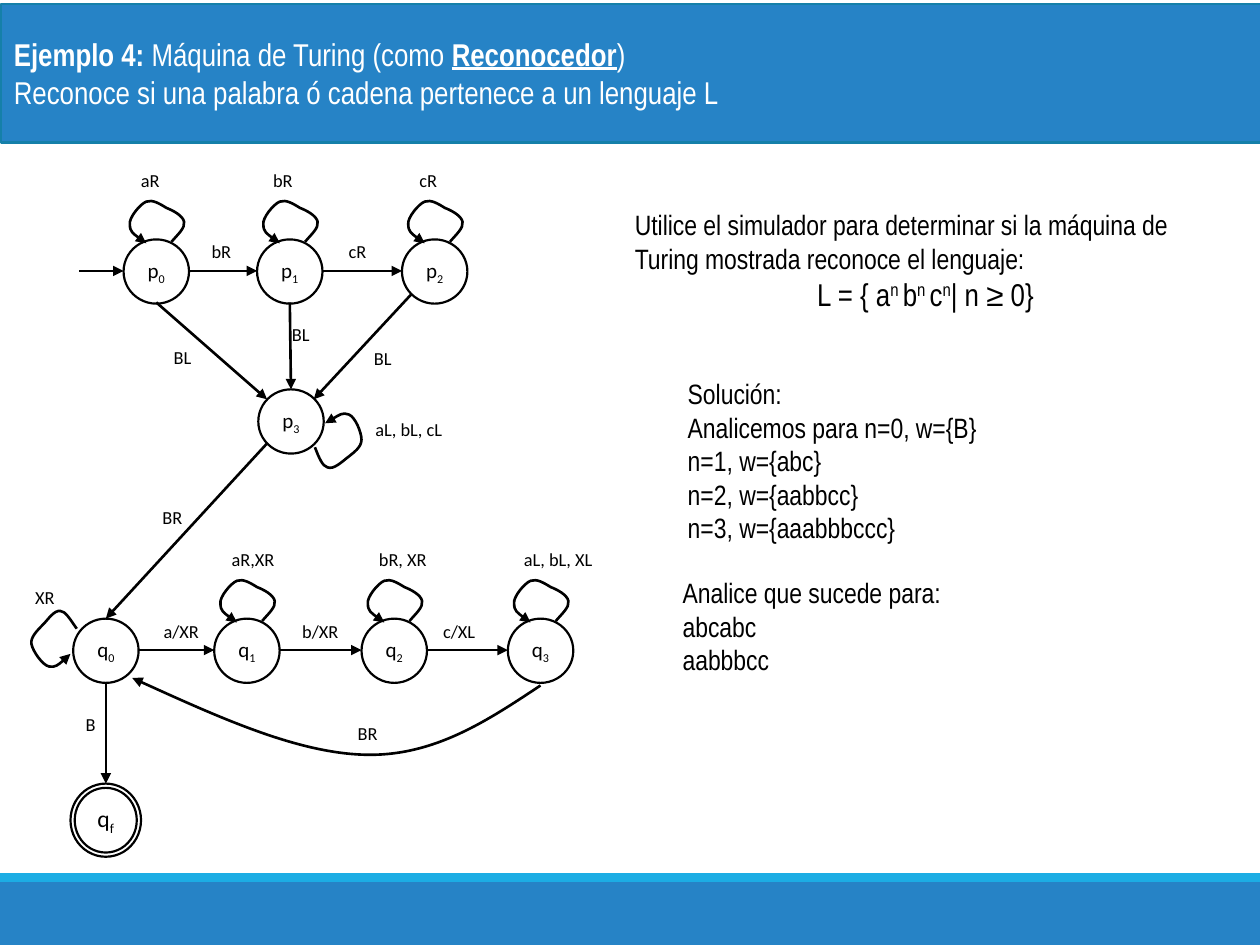
from lxml.etree import SubElement
from pptx import Presentation
from pptx.dml.color import RGBColor
from pptx.enum.shapes import MSO_CONNECTOR, MSO_SHAPE
from pptx.enum.text import MSO_ANCHOR, MSO_AUTO_SIZE, PP_ALIGN
from pptx.oxml.ns import qn
from pptx.util import Pt

BLACK, WHITE, BLUE = "000000", "FFFFFF", "2683C6"
NODE_W, NODE_H = 37.4, 36.7


def add_runs(para, runs, size, font, colour=BLACK):
    """Each run is (text, baseline percent)."""
    for text, baseline in runs:
        span = para.add_run()
        span.text = text
        span.font.size = Pt(size)
        span.font.name = font
        span.font.color.rgb = RGBColor.from_string(colour)
        if baseline:
            span._r.get_or_add_rPr().set("baseline", str(baseline * 1000))


def style_arrow(shape):
    shape.line.color.rgb = RGBColor.from_string(BLACK)
    shape.line.width = Pt(1.5)
    properties = shape._element.spPr
    SubElement(properties.find(qn("a:ln")), qn("a:tailEnd"), type="triangle")
    SubElement(properties, qn("a:effectLst"))


deck = Presentation()
deck.slide_width, deck.slide_height = Pt(720), Pt(540)
page = deck.slides.add_slide(deck.slide_layouts[5])
shapes = page.shapes

# Footer bands
for top, height, colour in [(504, 36, BLUE), (499, 5, "1CADE4")]:
    band = shapes.add_shape(MSO_SHAPE.RECTANGLE, 0, Pt(top), Pt(720), Pt(height))
    band.shadow.inherit = False
    band.fill.solid()
    band.fill.fore_color.rgb = RGBColor.from_string(colour)
    band.line.fill.background()

# Title banner
title = shapes.title
title.left, title.top, title.width, title.height = Pt(0.7), Pt(2.2), Pt(720), Pt(79.2)
title.fill.solid()
title.fill.fore_color.rgb = RGBColor.from_string(BLUE)
title.line.color.rgb = RGBColor.from_string("1580A9")
title.line.width = Pt(1.25)
frame = title.text_frame
frame.auto_size = MSO_AUTO_SIZE.NONE
frame.vertical_anchor = MSO_ANCHOR.MIDDLE
heading, subheading = frame.paragraphs[0], frame.add_paragraph()
add_runs(heading, [("Ejemplo 4:", 0), (" Máquina de Turing (como ", 0),
                   ("Reconocedor", 0), (")", 0)], 18, "Arial Narrow", WHITE)
add_runs(subheading, [("Reconoce si una palabra ó cadena pertenece a un lenguaje L", 0)],
         18, "Arial Narrow", WHITE)
heading.alignment = subheading.alignment = PP_ALIGN.LEFT
heading.runs[0].font.bold = heading.runs[2].font.bold = True
heading.runs[2].font.underline = True

# Explanations on the right
explanations = [
    (355.7, 115.2, 346.3, 67.7,
     ["Utilice el simulador para determinar si la máquina de Turing mostrada "
      "reconoce el lenguaje:"]),
    (385.9, 211.7, 181.4, 104.4,
     ["Solución:", "Analicemos para n=0, w={B}", "n=1, w={abc}",
      "n=2, w={aabbcc}", "n=3, w={aaabbbccc}"]),
    (383, 325.4, 292.3, 65.5, ["Analice que sucede para:", "abcabc", "aabbbcc"]),
]
frames = []
for left, top, width, height, lines in explanations:
    frame = shapes.add_textbox(Pt(left), Pt(top), Pt(width), Pt(height)).text_frame
    frame.word_wrap = True
    for i, line in enumerate(lines):
        para = frame.add_paragraph() if i else frame.paragraphs[0]
        add_runs(para, [(line, 0)], 16, "Arial Narrow")
    frames.append(frame)
formula = frames[0].add_paragraph()
formula.alignment = PP_ALIGN.CENTER
add_runs(formula, [("L = { a", 0), ("n ", 30), ("b", 0), ("n ", 30), ("c", 0),
                   ("n", 30), ("| n ≥ 0}", 0)], 18, "Arial Narrow")

# States
states = {
    "p0": (70.6, 136.8), "p1": (146.9, 136.8), "p2": (229.7, 136.8), "p3": (147.6, 222.5),
    "q0": (41.8, 353.5), "q1": (122.4, 353.5), "q2": (206.6, 353.5), "q3": (290.2, 353.5),
    "qf": (40.3, 447.8),
}
for name, (left, top) in states.items():
    final = name == "qf"
    kind, width, height, size = ((MSO_SHAPE.DONUT, 40.3, 41.8, 13.5) if final
                                 else (MSO_SHAPE.OVAL, NODE_W, NODE_H, 12))
    node = shapes.add_shape(kind, Pt(left), Pt(top), Pt(width), Pt(height))
    if final:
        node.adjustments[0] = 0.06
    node.shadow.inherit = False
    node.fill.background()
    node.line.color.rgb = RGBColor.from_string(BLACK)
    node.line.width = Pt(1.25)
    frame = node.text_frame
    frame.margin_left = frame.margin_right = frame.margin_top = frame.margin_bottom = 0
    frame.vertical_anchor = MSO_ANCHOR.MIDDLE
    frame.paragraphs[0].alignment = PP_ALIGN.CENTER
    add_runs(frame.paragraphs[0], [(name[0], 0), (name[1], -25)], size, "Calibri")

# Straight transitions: the vertical and slanted ones, then each row from left to right
arrows = [(45.4, 154.8, 70.6, 154.8), (89.3, 172.8, 152.6, 228.2),
          (165.6, 172.8, 166.3, 222.5), (235.4, 167.8, 179.3, 228.2),
          (152.6, 253.4, 60.5, 353.5), (60.5, 389.5, 60.5, 447.8)]
for row in (["p0", "p1", "p2"], ["q0", "q1", "q2", "q3"]):
    for source, target in zip(row, row[1:]):
        y = states[source][1] + 18
        arrows.append((states[source][0] + NODE_W, y, states[target][0], y))
for ends in arrows:
    style_arrow(shapes.add_connector(MSO_CONNECTOR.STRAIGHT, *map(Pt, ends)))

# Curved transitions: a start point, then two controls and an end point per Bézier piece
top_loop = [(27.4, 1.4), (31, -2.9), (35.3, -6.5), (34.6, -10.1),
            (33.8, -13.7), (28.1, -16.6), (24.5, -18),
            (20.9, -20.2), (16.6, -23), (13, -21.6),
            (9.4, -20.2), (2.9, -12.2), (3.6, -8.6),
            (3.6, -4.3), (7.9, -1.4), (13, 2.2)]
q0_loop = [(43.9, 359.3), (40.3, 354.2), (37.4, 349.2), (34.6, 349.2),
           (31, 348.5), (27.4, 354.2), (24.5, 357.1),
           (21.6, 360), (17.3, 364.3), (18, 367.9),
           (18.7, 372.2), (24.5, 380.2), (28.1, 380.9),
           (31.7, 381.6), (36, 378), (40.3, 373.7)]
p3_loop = [(180, 255.6), (182.2, 261.4), (184.3, 266.4), (187.2, 267.1),
           (190.8, 268.6), (195.8, 263.5), (198.7, 261.4),
           (202.3, 258.5), (206.6, 255.6), (206.6, 251.3),
           (206.6, 247), (203, 238.3), (199.4, 236.9),
           (195.8, 235.4), (190.8, 239), (185.8, 241.9)]
return_arc = [(308.9, 391.7), (278.6, 411.8), (248.4, 432), (209.5, 431.3),
              (170.6, 430.6), (123.1, 409), (75.6, 387.4)]
curves = [q0_loop, p3_loop, return_arc]
for name in ("p0", "p1", "p2", "q1", "q2", "q3"):
    left, top = states[name]
    curves.append([(left + x, top + y) for x, y in top_loop])
for points in curves:
    start, *rest = [(Pt(x), Pt(y)) for x, y in points]
    builder = shapes.build_freeform(*start)
    builder.add_line_segments(rest, close=False)
    curve = builder.convert_to_shape()
    curve.fill.background()
    style_arrow(curve)
    outline = curve._element.spPr.find(".//" + qn("a:path"))
    for i, segment in enumerate(outline.findall(qn("a:lnTo"))):
        if i % 3 == 0:
            bezier = SubElement(outline, qn("a:cubicBezTo"))
        bezier.append(segment[0])
        outline.remove(segment)

# Transition labels
labels = [
    ("aR", 73.4, 92.9, 31.7), ("bR", 149, 92.9, 32.4), ("cR", 232.6, 92.9, 31),
    ("bR", 113.8, 133.9, 32.4), ("cR", 192.2, 133.9, 28.1),
    ("BL", 92.2, 194.4, 31), ("BL", 159.8, 181.4, 31), ("BL", 206.6, 195.1, 31),
    ("aL, bL, cL", 207.4, 235.4, 64.8), ("BR", 85.7, 285.8, 32.4),
    ("aR,XR", 125.3, 309.6, 49), ("bR, XR", 209.5, 309.6, 52.6),
    ("aL, bL, XL", 292.3, 309.6, 67.7), ("XR", 13, 331.2, 32.4),
    ("a/XR", 86.4, 350.6, 43.9), ("b/XR", 165.6, 350.6, 44.6), ("c/XL", 246.2, 350.6, 39.6),
    ("B", 41.8, 403.9, 25.2), ("BR", 197.3, 409, 32.4),
]
for text, left, top, width in labels:
    box = shapes.add_textbox(Pt(left), Pt(top), Pt(width), Pt(25.9))
    box.text_frame.word_wrap = True
    add_runs(box.text_frame.paragraphs[0], [(text, 0)], 10.5, "Calibri")

deck.save("out.pptx")
